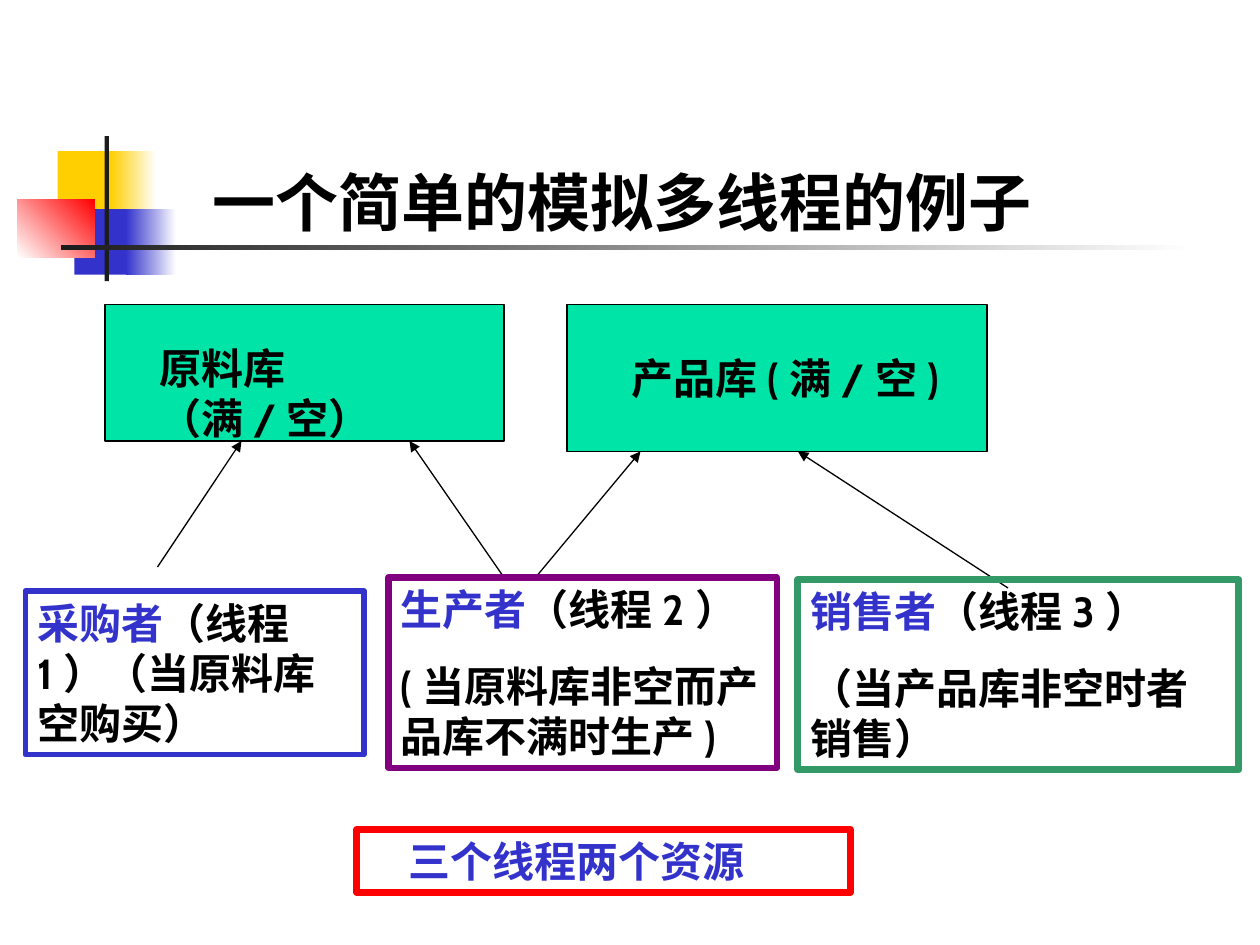
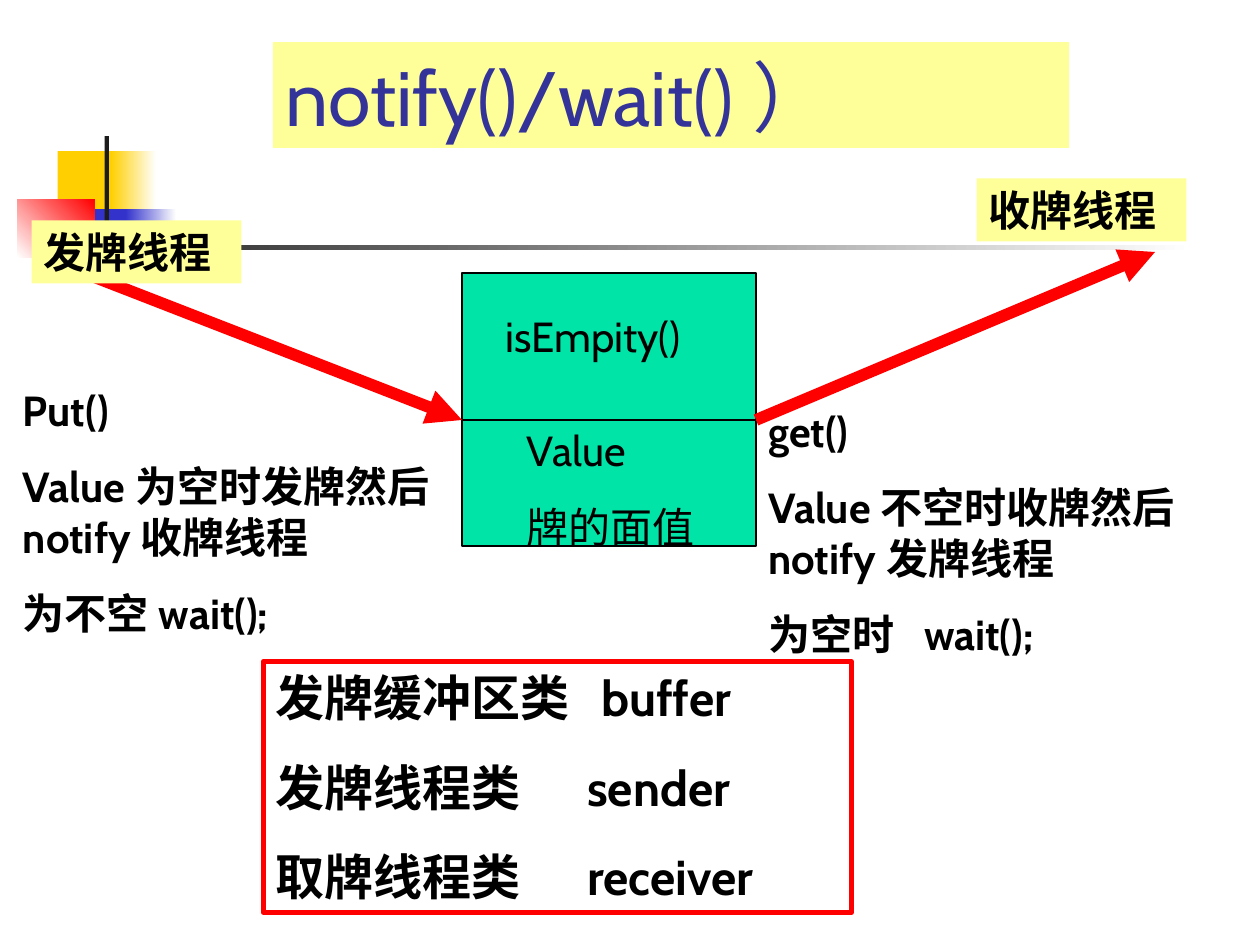
from lxml.etree import SubElement
from pptx import Presentation
from pptx.dml.color import RGBColor
from pptx.enum.shapes import MSO_CONNECTOR, MSO_SHAPE
from pptx.enum.text import MSO_ANCHOR as Anchor, MSO_AUTO_SIZE, PP_ALIGN
from pptx.oxml.ns import qn
from pptx.util import Pt

rgb = RGBColor.from_string
LATIN_FONT, CHINESE_FONT = "Cabin", "Noto Sans CJK SC"
BLACK, WHITE, RED, BLUE = "000000", "FFFFFF", "FF0000", "3333CC"
GREEN, YELLOW, GOLD, CHARCOAL = "00E4A8", "FFFF99", "FFCF01", "1C1C1C"
TITLE_BLUE, PURPLE, DARK_GREEN = "333399", "800080", "339966"


def add_box(slide, bounds, fill=None, line=None, line_width=0.75):
    """Add a rectangle; without a fill or line colour that part is empty."""
    box = slide.shapes.add_shape(MSO_SHAPE.RECTANGLE, *map(Pt, bounds))
    box.shadow.inherit = False
    if fill:
        box.fill.solid()
        box.fill.fore_color.rgb = rgb(fill)
    else:
        box.fill.background()
    if line:
        box.line.color.rgb = rgb(line)
        box.line.width = Pt(line_width)
    else:
        box.line.fill.background()
    return box


def write(shape, paragraphs, size=24, bold=True, anchor=Anchor.TOP, font=LATIN_FONT):
    """Fill a shape with paragraphs, each a tab stop (or None) and its (text, colour) runs."""
    frame = shape.text_frame
    frame.word_wrap = True
    frame.auto_size = MSO_AUTO_SIZE.NONE
    frame.vertical_anchor = anchor
    for index, (tab_stop, *runs) in enumerate(paragraphs):
        paragraph = frame.add_paragraph() if index else frame.paragraphs[0]
        if tab_stop:
            tabs = SubElement(paragraph._p.get_or_add_pPr(), qn("a:tabLst"))
            SubElement(tabs, qn("a:tab"), pos=str(Pt(tab_stop)), algn="l")
        paragraph.alignment = PP_ALIGN.LEFT
        paragraph.space_before = Pt(size * 0.625 if index else 0)
        for text, colour in runs:
            run = paragraph.add_run()
            run.text = text
            run.font.size = Pt(size)
            run.font.bold = bold
            run.font.name = font
            run.font.color.rgb = rgb(colour)


presentation = Presentation()
presentation.slide_width, presentation.slide_height = Pt(720), Pt(540)
layout = presentation.slide_layouts[5]
threads_slide = presentation.slides.add_slide(layout)
notify_slide = presentation.slides.add_slide(layout)

# Shared ornament, moved to the layout: bounds, first colour, second colour, angle
ornament = [
    ((33, 86.4, 34.6, 37.4), GOLD, None, 0),
    ((63.4, 86.4, 25.9, 37.4), GOLD, WHITE, 0),
    ((42.5, 119.5, 33.1, 37.4), BLUE, None, 0),
    ((72, 119.5, 28.8, 37.4), BLUE, WHITE, 0),
    ((10, 113.8, 44, 33.1), WHITE, RED, 45),
    ((59.8, 77.8, 2.4, 82.8), CHARCOAL, None, 0),
    ((34.6, 140.2, 648, 2.4), CHARCOAL, WHITE, 0),
]
for bounds, start_colour, end_colour, angle in ornament:
    piece = add_box(threads_slide, bounds, start_colour)
    if end_colour:
        piece.fill.gradient()
        piece.fill.gradient_angle = angle
        for stop, colour in zip(piece.fill.gradient_stops, (start_colour, end_colour)):
            stop.color.rgb = rgb(colour)
    layout.shapes.element.append(piece.element)

# Titles
titles = [
    (threads_slide, (114, 90, 528, 50.4), "一个简单的模拟多线程的例子", 36, True, BLACK, Anchor.TOP),
    (notify_slide, (156, 24, 455, 60.5), "notify()/wait()）", 44, False, TITLE_BLUE, Anchor.BOTTOM),
]
for slide, bounds, text, size, bold, colour, anchor in titles:
    title = slide.shapes.title
    title.left, title.top, title.width, title.height = map(Pt, bounds)
    write(title, [(None, (text, colour))], size, bold, anchor)
notify_slide.shapes.title.fill.solid()
notify_slide.shapes.title.fill.fore_color.rgb = rgb(YELLOW)

# Stores and card buffer
add_box(threads_slide, (60, 174, 228, 78), GREEN, BLACK)
add_box(threads_slide, (324, 174, 240, 84), GREEN, BLACK)
add_box(notify_slide, (264, 156, 168, 156), GREEN, BLACK)

# Lines: start x, start y, end x, end y, colour, width, arrowhead
lines = [
    (threads_slide, (90, 324, 138, 252), BLACK, 0.75, True),
    (threads_slide, (288, 330, 234, 252), BLACK, 0.75, True),
    (threads_slide, (306, 330, 366, 258), BLACK, 0.75, True),
    (threads_slide, (576, 336, 456, 258), BLACK, 0.75, True),
    (notify_slide, (48, 156, 264, 240), RED, 6.75, True),
    (notify_slide, (432, 240, 660, 144), RED, 6.75, True),
    (notify_slide, (264, 240, 432, 240), BLACK, 0.75, False),
]
for slide, ends, colour, width, has_arrowhead in lines:
    connector = slide.shapes.add_connector(MSO_CONNECTOR.STRAIGHT, *map(Pt, ends))
    connector.line.color.rgb = rgb(colour)
    connector.line.width = Pt(width)
    if has_arrowhead:
        SubElement(connector.line._get_or_add_ln(), qn("a:tailEnd"), type="triangle")
    SubElement(connector.element.spPr, qn("a:effectLst"))

# Plain black text: bounds, bold, tab stop, lines
captions = [
    (threads_slide, (84, 192, 204, 36), True, None, ["原料库（满/空）"]),
    (threads_slide, (354, 198, 204, 36), True, None, ["产品库(满/空)"]),
    (notify_slide, (282, 174, 156, 36), False, None, ["isEmpity()"]),
    (notify_slide, (294, 239, 126, 80), False, None, ["Value", "牌的面值"]),
    (notify_slide, (6, 216, 312, 152.6), True, None,
     ["Put()", "Value为空时发牌然后notify收牌线程", "为不空wait();"]),
    (notify_slide, (432, 228, 288, 152.6), True, 89,
     ["get()", "Value不空时收牌然后notify发牌线程", "为空时\twait();"]),
]
for slide, bounds, bold, tab_stop, texts in captions:
    caption = slide.shapes.add_textbox(*map(Pt, bounds))
    write(caption, [(tab_stop, (text, BLACK)) for text in texts], bold=bold)

# Threads: bounds, frame colour, frame width, role, text beside it, further paragraphs
threads = [
    ((222, 330, 222, 108.7), PURPLE, 3.5, "生产者", "（线程2）", ["(当原料库非空而产品库不满时生产)"]),
    ((14.4, 337.7, 193.7, 93.6), BLUE, 3, "采购者", "（线程1）（当原料库空购买）", []),
    ((456, 331.2, 252, 108.7), DARK_GREEN, 4, "销售者", "（线程3）", ["（当产品库非空时者销售）"]),
]
for bounds, colour, width, role, label, conditions in threads:
    thread = add_box(threads_slide, bounds, None, colour, width)
    write(thread, [(None, (role, BLUE), (label, BLACK))]
          + [(None, (condition, BLACK)) for condition in conditions])

summary = add_box(threads_slide, (204, 474, 282, 36), WHITE, RED, 4)
summary.text_frame.margin_left = Pt(29.5)
write(summary, [(None, ("三个线程两个资源", BLUE))], font=CHINESE_FONT)

# Classes and thread labels of the card example
classes = add_box(notify_slide, (150.5, 378, 336, 143.3), WHITE, RED, 3)
write(classes, [
    (186, ("发牌缓冲区类\tbuffer", BLACK)),
    (178, ("发牌线程类\tsender", BLACK)),
    (178, ("取牌线程类\treceiver", BLACK)),
], size=28)
for left, top, text in [(18, 126, "发牌线程"), (558, 102, "收牌线程")]:
    write(add_box(notify_slide, (left, top, 120, 36), YELLOW), [(None, (text, BLACK))])

# Chinese characters take their own font on every slide
for slide in presentation.slides:
    for run_properties in slide.element.iter(qn("a:rPr")):
        SubElement(run_properties, qn("a:ea"), typeface=CHINESE_FONT)

presentation.save("out.pptx")
